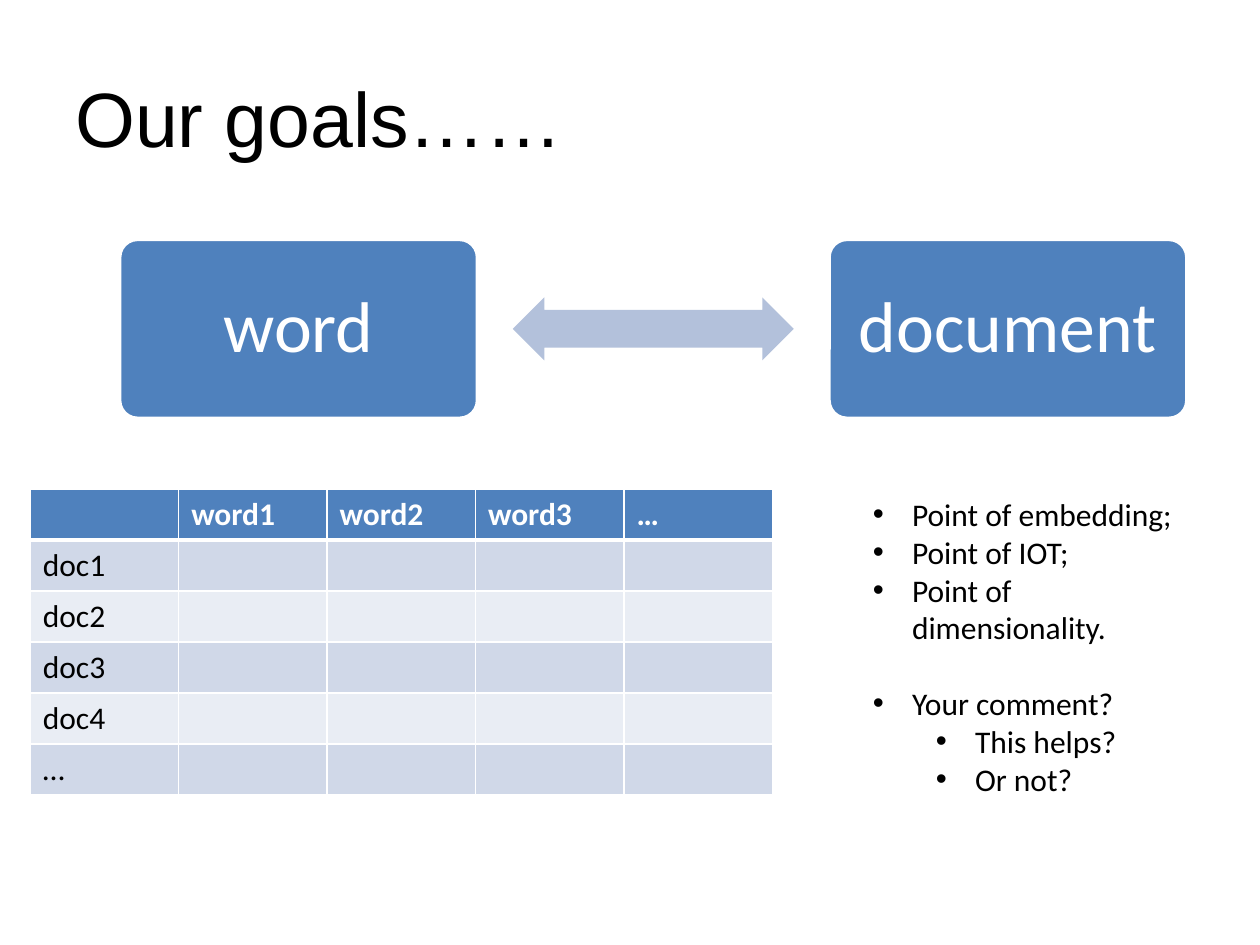
from dataclasses import dataclass
from itertools import product

from lxml.etree import SubElement
from pptx import Presentation
from pptx.dml.color import RGBColor
from pptx.enum.shapes import MSO_SHAPE
from pptx.enum.text import MSO_ANCHOR, PP_ALIGN
from pptx.oxml import parse_xml
from pptx.oxml.ns import nsdecls, qn
from pptx.util import Inches, Pt


@dataclass(frozen=True)
class Theme:
    heading_font: str = "Arial"
    body_font: str = "Calibri"
    ink: str = "000000"
    paper: str = "FFFFFF"
    accent: str = "4F81BD"
    arrow: str = "B3C1DB"
    bands: tuple = ("D0D8E8", "E9EDF4")
    title_size: int = 44
    box_size: int = 41
    body_size: int = 18


THEME = Theme()
WIDTH, HEIGHT = Inches(10), Inches(7.5)
COLUMNS, ROWS = 100, 75


def area(left, top, width, height):
    column, row = WIDTH / COLUMNS, HEIGHT / ROWS
    return (int(left * column), int(top * row),
            int(width * column), int(height * row))


def style(paragraph, size, color, font=THEME.body_font, bold=False):
    for run in paragraph.runs:
        run.font.name = font
        run.font.size = Pt(size)
        run.font.bold = bold
        run.font.color.rgb = RGBColor.from_string(color)


def paint(target, color):
    target.fill.solid()
    target.fill.fore_color.rgb = RGBColor.from_string(color)


def add_title(slide, text):
    frame = slide.shapes.add_textbox(*area(5, 3, 90, 12.5)).text_frame
    frame.word_wrap = True
    frame.vertical_anchor = MSO_ANCHOR.MIDDLE
    frame.text = text
    style(frame.paragraphs[0], THEME.title_size, THEME.ink, THEME.heading_font)


def add_box(slide, left, text):
    box = slide.shapes.add_shape(MSO_SHAPE.ROUNDED_RECTANGLE, *area(left, 19, 28.4, 14.2))
    box.adjustments[0] = 0.1
    box.shadow.inherit = False
    paint(box, THEME.accent)
    box.line.color.rgb = RGBColor.from_string(THEME.paper)
    box.line.width = Pt(2)
    frame = box.text_frame
    frame.word_wrap = True
    frame.vertical_anchor = MSO_ANCHOR.MIDDLE
    frame.margin_left = frame.margin_right = Inches(0.1)
    frame.margin_top = frame.margin_bottom = Inches(0.2)
    frame.text = text
    label = frame.paragraphs[0]
    label.alignment = PP_ALIGN.CENTER
    label.line_spacing = 0.9
    style(label, THEME.box_size, THEME.paper)


def add_double_arrow(slide):
    arrow = slide.shapes.add_shape(MSO_SHAPE.LEFT_RIGHT_ARROW, *area(40.7, 23.6, 22.3, 5))
    arrow.adjustments[0] = 0.6
    arrow.adjustments[1] = 0.5
    arrow.shadow.inherit = False
    paint(arrow, THEME.arrow)
    arrow.line.fill.background()


def add_borders(cell, top, bottom):
    properties = cell._tc.get_or_add_tcPr()
    widths = {"lnL": 1, "lnR": 1, "lnT": top, "lnB": bottom}
    for position, (side, width) in enumerate(widths.items()):
        properties.insert(position, parse_xml(
            f'<a:{side} {nsdecls("a")} w="{Pt(width)}"><a:solidFill>'
            f'<a:srgbClr val="{THEME.paper}"/></a:solidFill></a:{side}>'))


def add_matrix(slide, words, documents):
    row_count, column_count = len(documents) + 1, len(words) + 1
    matrix = slide.shapes.add_table(
        row_count, column_count, *area(2.4, 38.8, 58.9, 24.3)).table
    for column, word in enumerate(words, 1):
        matrix.cell(0, column).text = word
    for row, document in enumerate(documents, 1):
        matrix.cell(row, 0).text = document
    for row, column in product(range(row_count), range(column_count)):
        cell = matrix.cell(row, column)
        header = row == 0
        paint(cell, THEME.accent if header else THEME.bands[(row - 1) % 2])
        add_borders(cell, 3 if row == 1 else 1, 3 if header else 1)
        style(cell.text_frame.paragraphs[0], THEME.body_size,
              THEME.paper if header else THEME.ink, bold=header)


def add_bullets(slide, groups):
    frame = slide.shapes.add_textbox(*area(68.3, 38.8, 28.9, 22.2)).text_frame
    frame.word_wrap = True
    points = [(group, order, level, text)
              for group, entries in enumerate(groups)
              for order, (level, text) in enumerate(entries)]
    for group, order, level, text in points:
        first = group == order == 0
        point = frame.paragraphs[0] if first else frame.add_paragraph()
        point.text = text
        point.level = level
        if group and order == 0:
            point.space_before = Pt(THEME.body_size * 1.2)
        properties = point._p.get_or_add_pPr()
        properties.set("marL", str(Inches(0.31 + 0.5 * level)))
        properties.set("indent", str(Inches(-0.31)))
        SubElement(properties, qn("a:buFont"), typeface=THEME.heading_font)
        SubElement(properties, qn("a:buChar"), char="•")
        style(point, THEME.body_size, THEME.ink)


def main():
    deck = Presentation()
    deck.slide_width, deck.slide_height = WIDTH, HEIGHT
    slide = deck.slides.add_slide(deck.slide_layouts[6])
    add_title(slide, "Our goals……")
    add_box(slide, 9.5, "word")
    add_double_arrow(slide)
    add_box(slide, 65.8, "document")
    add_matrix(slide, ["word1", "word2", "word3", "…"],
               ["doc1", "doc2", "doc3", "doc4", "…"])
    add_bullets(slide, [
        [(0, "Point of embedding;"), (0, "Point of IOT;"), (0, "Point of dimensionality.")],
        [(0, "Your comment?"), (1, "This helps?"), (1, "Or not?")],
    ])
    deck.save("out.pptx")


if __name__ == "__main__":
    main()
